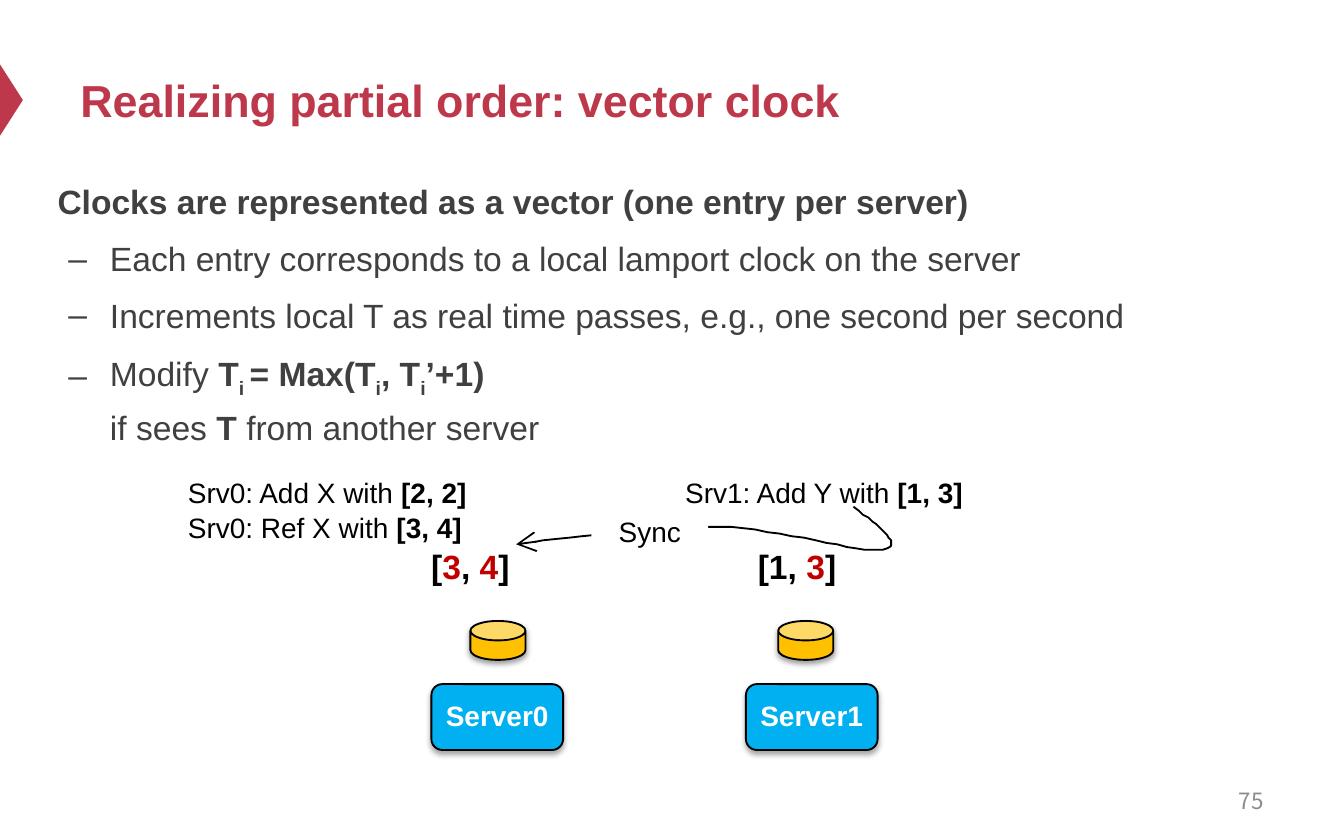
"""Build the vector clock slide."""
from typing import NamedTuple, Optional

from lxml.etree import SubElement
from pptx import Presentation
from pptx.dml.color import RGBColor
from pptx.enum.shapes import MSO_SHAPE as Shape
from pptx.enum.text import MSO_ANCHOR as Anchor, PP_ALIGN as Align
from pptx.oxml.ns import qn
from pptx.util import Pt

PX = 9144
RED = RGBColor(0xBE, 0x38, 0x4B)
DARK = RGBColor(0x40, 0x40, 0x40)
GRAY = RGBColor(0x8C, 0x8C, 0x8C)
BLACK = RGBColor(0, 0, 0)
WHITE = RGBColor(0xFF, 0xFF, 0xFF)
CHANGED = RGBColor(0xC0, 0, 0)
GOLD = RGBColor(0xFF, 0xC0, 0)
BLUE = RGBColor(0, 0xB0, 0xF0)


class Box(NamedTuple):
    x: int
    y: int
    w: int
    h: int


class Run(NamedTuple):
    text: str
    bold: bool = False
    color: Optional[RGBColor] = None
    sub: bool = False


class Style(NamedTuple):
    size: int
    color: RGBColor
    font: str = "Arial"
    align: Align = Align.LEFT
    spacing: float = 1.0


class Server(NamedTuple):
    name: str
    x: int
    disk_x: int
    clock_x: int
    clock: list[Run]


class Event(NamedTuple):
    x: int
    y: int
    action: str
    clock: str


TITLE = Style(24, RED)
BODY = Style(18, DARK, spacing=1.2)
CLOCK = Style(18, BLACK)
LABEL = Style(15, BLACK, spacing=0.8)
SYNC = LABEL._replace(align=Align.CENTER)
NAME = Style(15, WHITE, align=Align.CENTER)
NUMBER = Style(12, GRAY, "Noto Sans CJK SC", Align.RIGHT)

HEADING = Run("Clocks are represented as a vector (one entry per server)", True)
BULLETS = [
    [Run("Each entry corresponds to a local lamport clock on the server")],
    [Run("Increments local T as real time passes, e.g., one second per second")],
    [Run("Modify "), Run("T", True), Run("i ", True, sub=True), Run("= Max(T", True),
     Run("i", True, sub=True), Run(", T", True), Run("i", True, sub=True),
     Run("’+1)", True), Run("\n"), Run("if sees "), Run("T", True),
     Run(" from another server")],
]
SERVERS = [
    Server("Server0", 321, 350, 311, [
        Run("[", True), Run("3", True, CHANGED), Run(", ", True),
        Run("4", True, CHANGED), Run("]", True)]),
    Server("Server1", 555, 579, 554, [
        Run("[1, ", True), Run("3", True, CHANGED), Run("]", True)]),
]
EVENTS = [
    Event(130, 354, "Srv0: Add X with ", "[2, 2]"),
    Event(500, 354, "Srv1: Add Y with ", "[1, 3]"),
    Event(130, 380, "Srv0: Ref X with ", "[3, 4]"),
]
SYNC_CURVE = [
    [(635, 377), (654, 392), (674, 406), (657, 409)],
    [(657, 409), (640, 412), (581, 393), (535, 392)],
    [(535, 392), (490, 392), (437, 398), (384, 405)],
]
CURVE_STEPS = 16


def emu(box: Box) -> list[int]:
    return [v * PX for v in box]


def write(p, runs: list[Run], style: Style) -> None:
    p.alignment = style.align
    p.line_spacing = style.spacing
    for run in runs:
        if run.text == "\n":
            p.add_line_break()
            continue
        r = p.add_run()
        r.text = run.text
        r.font.name = style.font
        r.font.size = Pt(style.size)
        r.font.bold = run.bold
        r.font.color.rgb = run.color or style.color
        if run.sub:
            r.font._element.set("baseline", "-25000")


def add_text(slide, box: Box, runs: list[Run], style: Style, anchor: Anchor = Anchor.TOP):
    tf = slide.shapes.add_textbox(*emu(box)).text_frame
    tf.word_wrap = True
    tf.vertical_anchor = anchor
    write(tf.paragraphs[0], runs, style)
    return tf


def add_shape(slide, kind: Shape, box: Box, fill: RGBColor, outlined: bool = False):
    sp = slide.shapes.add_shape(kind, *emu(box))
    sp.shadow.inherit = False
    sp.fill.solid()
    sp.fill.fore_color.rgb = fill
    if outlined:
        sp.line.color.rgb = BLACK
        sp.line.width = Pt(1)
    else:
        sp.line.fill.background()
    return sp


def add_shadow(sp, alpha: int, dist: float) -> None:
    effects = sp._element.spPr.find(qn("a:effectLst"))
    shadow = SubElement(effects, qn("a:outerShdw"), blurRad=str(Pt(3.1)),
                        dist=str(Pt(dist)), dir="5400000", rotWithShape="0")
    color = SubElement(shadow, qn("a:srgbClr"), val="000000")
    SubElement(color, qn("a:alpha"), val=str(alpha * 1000))


def add_body(slide) -> None:
    tf = add_text(slide, Box(33, 124, 900, 260), [HEADING], BODY)
    for runs in BULLETS:
        p = tf.add_paragraph()
        pPr = p._p.get_or_add_pPr()
        pPr.set("marL", str(39 * PX))
        pPr.set("indent", str(-31 * PX))
        SubElement(pPr, qn("a:buFont"), typeface="Arial")
        SubElement(pPr, qn("a:buChar"), char="–")
        p.space_before = Pt(4.6)
        write(p, runs, BODY)


def add_server(slide, server: Server) -> None:
    disk = add_shape(slide, Shape.CAN, Box(server.disk_x, 462, 41, 29), GOLD, True)
    disk.adjustments[0] = 0.5
    add_shadow(disk, 38, 1.6)
    sp = add_shape(slide, Shape.ROUNDED_RECTANGLE, Box(server.x, 509, 98, 49), BLUE, True)
    add_shadow(sp, 35, 1.8)
    tf = sp.text_frame
    tf.word_wrap = False
    tf.vertical_anchor = Anchor.MIDDLE
    tf.margin_left = tf.margin_right = 0
    tf.margin_top, tf.margin_bottom = 3 * PX, 5 * PX
    write(tf.paragraphs[0], [Run(server.name, True)], NAME)
    add_text(slide, Box(server.clock_x, 401, 109, 40), server.clock, CLOCK)


def bezier(points: list[tuple[int, int]], t: float) -> tuple[float, ...]:
    u = 1 - t
    weights = (u ** 3, 3 * u * u * t, 3 * u * t * t, t ** 3)
    return tuple(sum(w * v for w, v in zip(weights, axis)) for axis in zip(*points))


def add_sync(slide) -> None:
    builder = slide.shapes.build_freeform(*SYNC_CURVE[0][0], scale=PX)
    builder.add_line_segments(
        [bezier(part, i / CURVE_STEPS) for part in SYNC_CURVE
         for i in range(1, CURVE_STEPS + 1)], close=False)
    sp = builder.convert_to_shape()
    sp.shadow.inherit = False
    sp.fill.background()
    sp.line.color.rgb = BLACK
    sp.line.width = Pt(1)
    SubElement(sp.line._get_or_add_ln(), qn("a:tailEnd"), type="arrow", w="lg", len="lg")
    label = add_shape(slide, Shape.RECTANGLE, Box(440, 383, 87, 31), WHITE)
    label.text_frame.vertical_anchor = Anchor.TOP
    write(label.text_frame.paragraphs[0], [Run("Sync")], SYNC)


def main() -> None:
    prs = Presentation()
    prs.slide_width, prs.slide_height = 1000 * PX, 625 * PX
    slide = prs.slides.add_slide(prs.slide_layouts[6])
    marker = add_shape(slide, Shape.ISOSCELES_TRIANGLE, Box(-18, 66, 53, 17), RED)
    marker.rotation = 90
    add_text(slide, Box(50, 25, 900, 98),
             [Run("Realizing partial order: vector clock", True)], TITLE, Anchor.MIDDLE)
    add_body(slide)
    add_text(slide, Box(717, 579, 233, 33), [Run("75")], NUMBER, Anchor.MIDDLE)
    for server in SERVERS:
        add_server(slide, server)
    add_sync(slide)
    for event in EVENTS:
        add_text(slide, Box(event.x, event.y, 268, 31),
                 [Run(event.action), Run(event.clock, True)], LABEL)
    prs.save("out.pptx")


if __name__ == "__main__":
    main()
